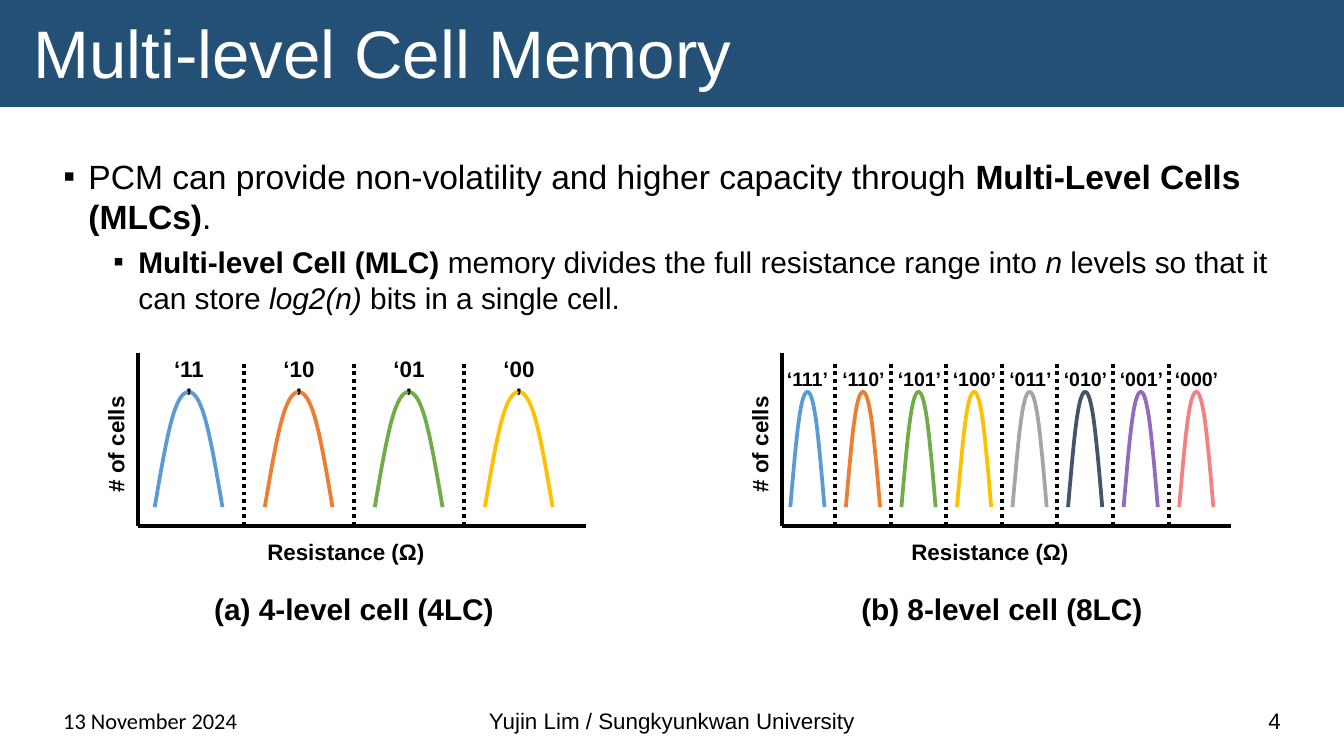
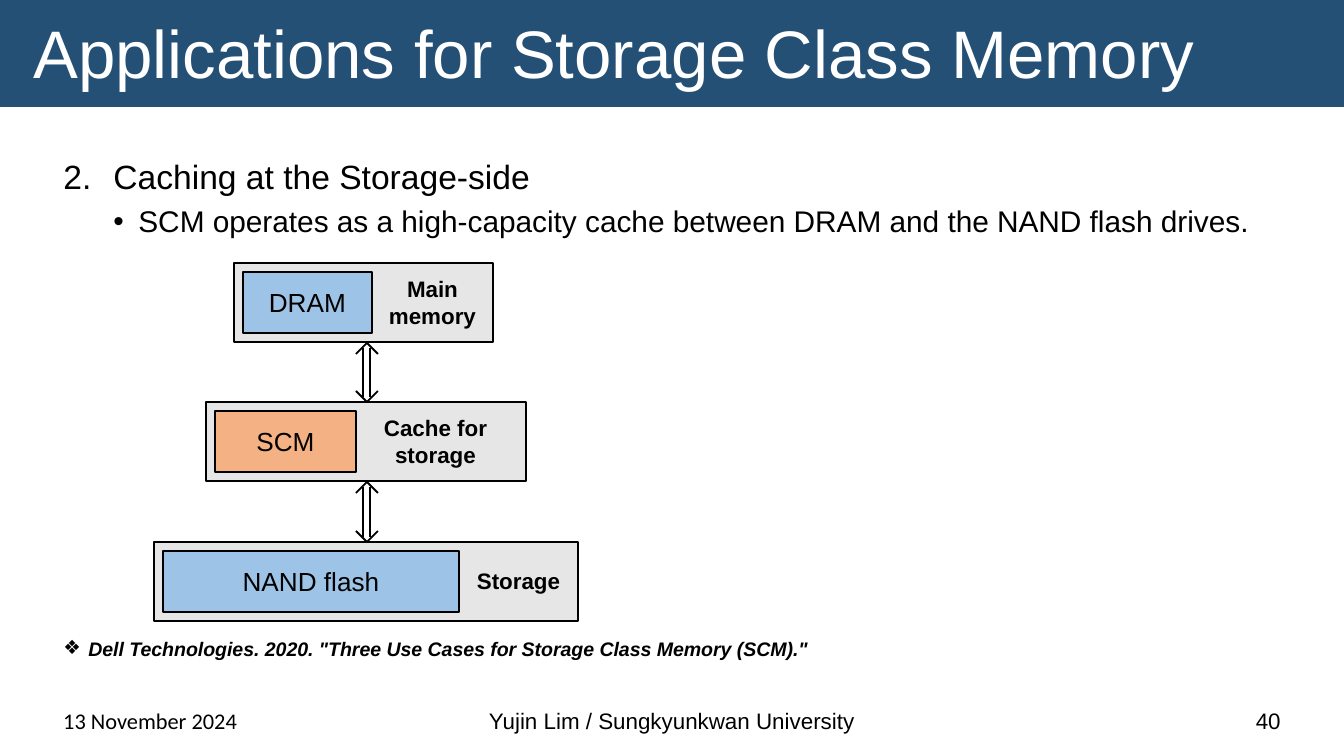
import pptx
import pptx.chart.data
import pptx.dml.color
import pptx.enum.chart
import pptx.enum.dml
import pptx.enum.shapes
import pptx.enum.text
import pptx.oxml
import pptx.oxml.ns
import pptx.util
from lxml import etree

RGB = pptx.dml.color.RGBColor
ALIGN = pptx.enum.text.PP_ALIGN
ANCHOR = pptx.enum.text.MSO_ANCHOR
qn = pptx.oxml.ns.qn

BLACK = RGB(0x00, 0x00, 0x00)
WHITE = RGB(0xFF, 0xFF, 0xFF)
BAND_BLUE = RGB(0x25, 0x50, 0x76)
TIER_GREY = RGB(0xE7, 0xE6, 0xE6)
MEMORY_BLUE = RGB(0x9D, 0xC3, 0xE6)
SCM_ORANGE = RGB(0xF4, 0xB1, 0x83)
LEVEL_COLORS = [
    RGB(0x5B, 0x9B, 0xD5), RGB(0xED, 0x7D, 0x31), RGB(0x70, 0xAD, 0x47),
    RGB(0xFF, 0xC0, 0x00), RGB(0xA5, 0xA5, 0xA5), RGB(0x44, 0x54, 0x6A),
    RGB(0x94, 0x6A, 0xBE), RGB(0xF3, 0x81, 0x81),
]

PX_PER_INCH = 134.4
SLIDE_W, SLIDE_H = 1344, 756

# Resistance distribution of one level, and the distance to the next level
LEVEL_CELLS = [14, 79, 100, 79, 14]
LEVEL_START, LEVEL_STEP, LEVEL_PITCH = 0.2, 0.2, 1.3
LEVEL_PEAK, LEVEL_EDGE = 0.6, 1.25

# Chart frame in px, and its plot area as fractions of the frame
CHART_TOP, CHART_W, CHART_H = 327, 660, 262
PLOT_X, PLOT_Y, PLOT_W, PLOT_H = 0.18, 0.1, 0.68, 0.66


def px(length):
    return pptx.util.Emu(round(length * 914400 / PX_PER_INCH))


def frame(left, top, width, height):
    return px(left), px(top), px(width), px(height)


def style_font(font, size, color=BLACK, name="Arial", bold=False, italic=False):
    font.size = pptx.util.Pt(size)
    font.name = name
    font.bold = bold
    font.italic = italic
    font.color.rgb = color


def set_line(line, color, width):
    line.color.rgb = color
    line.width = pptx.util.Pt(width)


# Text
def write(text_frame, text, size, align=ALIGN.CENTER, anchor=ANCHOR.MIDDLE, **style):
    text_frame.text = text
    text_frame.word_wrap = True
    text_frame.auto_size = pptx.enum.text.MSO_AUTO_SIZE.NONE
    text_frame.vertical_anchor = anchor
    paragraph = text_frame.paragraphs[0]
    paragraph.alignment = align
    for run in paragraph.runs:
        style_font(run.font, size, **style)


def add_label(slide, box, text, size, **style):
    label = slide.shapes.add_textbox(*frame(*box))
    write(label.text_frame, text, size, **style)


def add_bullet(paragraph, left, hanging, mark, start=None):
    properties = paragraph._p.get_or_add_pPr()
    properties.set("marL", str(px(left)))
    properties.set("indent", str(-px(hanging)))
    if start:
        etree.SubElement(properties, qn("a:buFont"), typeface="+mj-lt")
        etree.SubElement(properties, qn("a:buAutoNum"), type=mark, startAt=str(start))
    else:
        etree.SubElement(properties, qn("a:buFont"), typeface="Arial")
        etree.SubElement(properties, qn("a:buChar"), char=mark)


def fill_body(body, items):
    """Each item: level, bullet arguments, space before, size, (text, style) pieces."""
    body.left, body.top, body.width, body.height = frame(50, 149, 1244, 531)
    text_frame = body.text_frame
    text_frame.auto_size = pptx.enum.text.MSO_AUTO_SIZE.NONE
    for index, (level, bullet, space, size, pieces) in enumerate(items):
        paragraph = text_frame.add_paragraph() if index else text_frame.paragraphs[0]
        paragraph.level = level
        add_bullet(paragraph, *bullet)
        paragraph.space_before = pptx.util.Pt(space)
        for text, style in pieces:
            run = paragraph.add_run()
            run.text = text
            style_font(run.font, size, **style)


# Shapes and lines
def add_box(slide, box, fill, text=""):
    rect = slide.shapes.add_shape(pptx.enum.shapes.MSO_SHAPE.RECTANGLE, *frame(*box))
    rect.shadow.inherit = False
    rect.fill.solid()
    rect.fill.fore_color.rgb = fill
    set_line(rect.line, BLACK, 1)
    if text:
        write(rect.text_frame, text, 14)
    return rect


def add_line(slide, x1, y1, x2, y2, width=1, dash=None):
    line = slide.shapes.add_connector(
        pptx.enum.shapes.MSO_CONNECTOR.STRAIGHT, px(x1), px(y1), px(x2), px(y2))
    set_line(line.line, BLACK, width)
    line.line.dash_style = dash
    etree.SubElement(line._element.spPr, qn("a:effectLst"))


# What the slides share
def add_master_band(prs, slide):
    band = add_box(slide, (0, 0, SLIDE_W, 107), BAND_BLUE)
    band.line.fill.background()
    prs.slide_master.shapes.element.insert(2, band._element)


def new_slide(prs, title, number):
    slide = prs.slides.add_slide(prs.slide_layouts[1])
    heading = slide.shapes.title
    heading.left, heading.top, heading.width, heading.height = frame(20, 14, 1304, 85)
    write(heading.text_frame, title, 36, align=ALIGN.LEFT, color=WHITE)
    heading.text_frame.paragraphs[0].line_spacing = 0.9

    footers = [
        (50, 345, "13 November 2024", ALIGN.LEFT, "Calibri"),
        (445, 454, "Yujin Lim / Sungkyunkwan University", ALIGN.CENTER, "Arial"),
        (949, 345, str(number), ALIGN.RIGHT, "Arial"),
    ]
    for left, width, text, align, font in footers:
        add_label(slide, (left, 701, width, 40), text, 12,
                  align=align, anchor=ANCHOR.BOTTOM, name=font)
    return slide


# Charts
def set_layout(parent, position, **values):
    """Give a chart part a manual layout, as fractions of the chart frame."""
    for old in parent.findall(qn("c:layout")):
        parent.remove(old)
    layout = etree.Element(qn("c:layout"))
    manual = etree.SubElement(layout, qn("c:manualLayout"))
    if "w" in values:
        etree.SubElement(manual, qn("c:layoutTarget"), val="inner")
    for side in "xy":
        etree.SubElement(manual, qn(f"c:{side}Mode"), val="edge")
    for key, value in values.items():
        etree.SubElement(manual, qn(f"c:{key}"), val=str(value))
    parent.insert(position, layout)


def style_axis(axis, title, maximum, x, y):
    axis.minimum_scale, axis.maximum_scale = 0, maximum
    axis.has_major_gridlines = False
    axis.major_tick_mark = axis.minor_tick_mark = pptx.enum.chart.XL_TICK_MARK.NONE
    axis.tick_label_position = pptx.enum.chart.XL_TICK_LABEL_POSITION.NONE
    set_line(axis.format.line, BLACK, 2)
    text_frame = axis.axis_title.text_frame
    text_frame.text = title
    style_font(text_frame.paragraphs[0].runs[0].font, 12, bold=True)
    set_layout(axis.axis_title._element, 1, x=x, y=y)
    return text_frame


def level_chart_data(levels):
    """All series share the resistances; each has cells only at its own level."""
    data = pptx.chart.data.XyChartData()
    for own_level in range(levels):
        series = data.add_series(f"Series {own_level + 1}")
        for level in range(levels):
            for step, cells in enumerate(LEVEL_CELLS):
                resistance = LEVEL_START + level * LEVEL_PITCH + step * LEVEL_STEP
                series.add_data_point(round(resistance, 1),
                                      cells if level == own_level else None)
    return data


def add_level_chart(slide, left, levels, axis_max):
    chart = slide.shapes.add_chart(
        pptx.enum.chart.XL_CHART_TYPE.XY_SCATTER_SMOOTH_NO_MARKERS,
        *frame(left, CHART_TOP, CHART_W, CHART_H), level_chart_data(levels)).chart
    chart.has_legend = False
    chart.has_title = False
    style_font(chart.font, 10, name="Calibri")
    chart.plots[0].vary_by_categories = False
    for series, color in zip(chart.plots[0].series, LEVEL_COLORS):
        series._element.get_or_add_smooth().val = True
        series.marker.style = pptx.enum.chart.XL_MARKER_STYLE.NONE
        set_line(series.format.line, color, 2)

    style_axis(chart.category_axis, "Resistance (Ω)", axis_max, 0.37, 0.79)
    cells_title = style_axis(chart.value_axis, "# of cells", 129, 0.12, 0.25)
    cells_title._txBody.find(qn("a:bodyPr")).set("rot", "-5400000")
    plot_area = chart._chartSpace.find(".//" + qn("c:plotArea"))
    set_layout(plot_area, 0, x=PLOT_X, y=PLOT_Y, w=PLOT_W, h=PLOT_H)


def add_level_figure(slide, left, codes, axis_max, label_box, label_size, caption, center):
    """Chart with a code over each level and dotted lines between the levels."""
    add_level_chart(slide, left, len(codes), axis_max)
    label_top, label_width = label_box

    def resistance_px(value):
        return round(left + CHART_W * (PLOT_X + PLOT_W * value / axis_max))

    for level, code in enumerate(codes):
        offset = level * LEVEL_PITCH
        if level < len(codes) - 1:
            edge = resistance_px(LEVEL_EDGE + offset)
            add_line(slide, edge, 364, edge, 528, 2,
                     pptx.enum.dml.MSO_LINE.ROUND_DOT)
        peak = resistance_px(LEVEL_PEAK + offset)
        add_label(slide, (peak - label_width // 2, label_top, label_width, 40),
                  f"‘{code}’", label_size, anchor=ANCHOR.TOP, bold=True)
    add_label(slide, (center - 162, 584, 324, 50), caption, 16, bold=True)


# Memory hierarchy
def add_tier(slide, top, left, width, part, part_width, color, role, role_left, role_height):
    add_box(slide, (left, top, width, 79), TIER_GREY)
    add_box(slide, (left + 9, top + 9, part_width, 61), color, part)
    role_box = (role_left, top + 39 - role_height // 2, left + width - role_left, role_height)
    add_label(slide, role_box, role, 12, bold=True)


def add_double_arrow(slide, x, top, bottom):
    for shaft in (x - 4, x + 3):
        add_line(slide, shaft, top + 5, shaft, bottom - 5)
    for tip, wing in ((top, top + 11), (bottom, bottom - 11)):
        for side in (x - 11, x + 11):
            add_line(slide, side, wing, x, tip)


def build_multi_level_slide(slide):
    bold, italic = {"bold": True}, {"italic": True}
    fill_body(slide.placeholders[1], [
        (0, (25, 25, "▪"), 0, 18, [
            ("PCM can provide non-volatility and higher capacity through ", {}),
            ("Multi-Level Cells (MLCs)", bold), (".", {})]),
        (1, (75, 25, "▪"), 3.8, 16, [
            ("Multi-level Cell (MLC) ", bold),
            ("memory divides the full resistance range into ", {}), ("n", italic),
            (" levels so that it can store ", {}), ("log2(n) ", italic),
            ("bits in a single cell.", {})]),
    ])
    add_level_figure(slide, 19, ["11", "10", "01", "00"], 5.3, (349, 62), 12,
                     "(a) 4-level cell (4LC)", 354)
    add_level_figure(slide, 663, [f"{code:03b}" for code in (7, 6, 5, 4, 3, 2, 1, 0)],
                     10.5, (360, 73), 10.5, "(b) 8-level cell (8LC)", 1002)


def build_storage_slide(slide):
    fill_body(slide.placeholders[1], [
        (0, (50, 50, "arabicPeriod", 2), 0, 18, [("Caching at the Storage-side", {})]),
        (1, (75, 25, "•"), 3.8, 16, [
            ("SCM operates as a high-capacity cache between DRAM and the NAND flash drives.",
             {})]),
        (0, (25, 25, "❖"), 213, 10.5, [
            ('Dell Technologies. 2020. "Three Use Cases for Storage Class Memory (SCM)."',
             {"bold": True, "italic": True})]),
    ])
    tiers = [
        (263, 234, 259, "DRAM", 129, MEMORY_BLUE, "Main memory", 372, 67),
        (402, 206, 320, "SCM", 141, SCM_ORANGE, "Cache for storage", 345, 67),
        (542, 154, 424, "NAND flash", 296, MEMORY_BLUE, "Storage", 459, 40),
    ]
    for tier in tiers:
        add_tier(slide, *tier)
    for upper, lower in zip(tiers, tiers[1:]):
        add_double_arrow(slide, 367, upper[0] + 80, lower[0])


def main():
    prs = pptx.Presentation()
    prs.slide_width, prs.slide_height = px(SLIDE_W), px(SLIDE_H)
    multi_level = new_slide(prs, "Multi-level Cell Memory", 4)
    add_master_band(prs, multi_level)
    build_multi_level_slide(multi_level)
    build_storage_slide(new_slide(prs, "Applications for Storage Class Memory", 40))
    prs.save("out.pptx")


if __name__ == "__main__":
    main()
